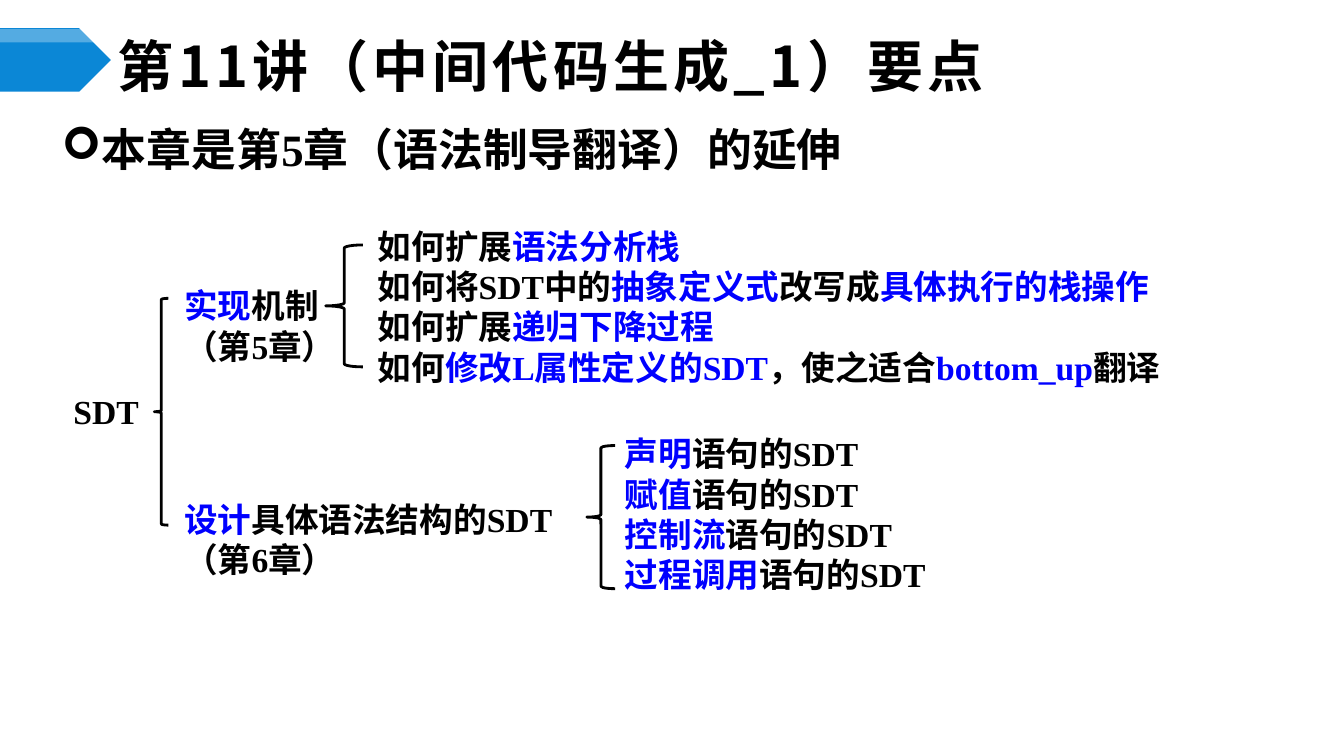
from lxml import etree
from pptx import Presentation
from pptx import util as u
from pptx.dml.color import RGBColor
from pptx.enum import shapes, text
from pptx.oxml import ns

BLACK = RGBColor(0x00, 0x00, 0x00)
WHITE = RGBColor(0xFF, 0xFF, 0xFF)
BLUE = RGBColor(0x00, 0x00, 0xFF)
ARROW_BLUE = RGBColor(0x0B, 0x87, 0xD6)
SERIF = "Times New Roman"
SANS = "Noto Sans CJK SC"


class SlideBuilder:
    def __init__(self, deck):
        self.page = deck.slides.add_slide(deck.slide_layouts[5])

    def lengths(self, values):
        return [u.Inches(value) for value in values]

    def add_span(self, para, words, color=BLACK, size=24, font=SERIF):
        span = para.add_run()
        span.text = words
        span.font.size = u.Pt(size)
        span.font.bold = True
        span.font.name = font
        span.font.color.rgb = color
        properties = span._r.get_or_add_rPr()
        etree.SubElement(properties, ns.qn("a:ea")).set("typeface", SANS)
        return span

    def set_insets(self, frame):
        frame.margin_left = frame.margin_right = u.Inches(0.07)
        frame.margin_top = frame.margin_bottom = u.Inches(0.04)

    def title(self, words, area):
        box = self.page.shapes.title
        box.left, box.top, box.width, box.height = self.lengths(area)
        frame = box.text_frame
        self.set_insets(frame)
        frame.auto_size = text.MSO_AUTO_SIZE.NONE
        frame.vertical_anchor = text.MSO_ANCHOR.MIDDLE
        para = frame.paragraphs[0]
        para.alignment = text.PP_ALIGN.LEFT
        span = self.add_span(para, words, size=40, font=SANS)
        span._r.get_or_add_rPr().set("spc", "300")

    def bullet(self, words, area):
        frame = self.page.shapes.add_textbox(*self.lengths(area)).text_frame
        self.set_insets(frame)
        frame.word_wrap = True
        para = frame.paragraphs[0]
        para.line_spacing = u.Pt(40)
        properties = para._p.get_or_add_pPr()
        properties.set("marL", str(u.Inches(0.84)))
        properties.set("indent", str(u.Inches(-0.4)))
        etree.SubElement(properties, ns.qn("a:buFont")).set("typeface", "Wingdings")
        etree.SubElement(properties, ns.qn("a:buChar")).set("char", "➢")
        self.add_span(para, words, size=32)

    def lines(self, rows, area, wrap=True):
        frame = self.page.shapes.add_textbox(*self.lengths(area)).text_frame
        frame.word_wrap = wrap
        frame.auto_size = text.MSO_AUTO_SIZE.SHAPE_TO_FIT_TEXT
        for index, row in enumerate(rows):
            para = frame.add_paragraph() if index else frame.paragraphs[0]
            for words, color in row:
                self.add_span(para, words, color)

    def brace(self, area):
        shape = self.page.shapes.add_shape(
            shapes.MSO_SHAPE.LEFT_BRACE, *self.lengths(area))
        shape.shadow.inherit = False
        shape.fill.background()
        shape.line.color.rgb = BLACK
        shape.line.width = u.Pt(2)

    def pentagon(self, area, color, opacity=100):
        shape = self.page.shapes.add_shape(
            shapes.MSO_SHAPE.PENTAGON, *self.lengths(area))
        shape.shadow.inherit = False
        shape.line.fill.background()
        shape.fill.solid()
        shape.fill.fore_color.rgb = color
        if opacity < 100:
            value = shape._element.spPr.find(".//" + ns.qn("a:srgbClr"))
            etree.SubElement(value, ns.qn("a:alpha")).set("val", str(opacity * 1000))


def main():
    deck = Presentation()
    deck.slide_width = u.Inches(13.33)
    deck.slide_height = u.Inches(7.5)
    slide = SlideBuilder(deck)

    slide.pentagon((0, 0.28, 1.1, 0.63), ARROW_BLUE)
    slide.pentagon((0, 0.29, 1.1, 0.13), WHITE, opacity=30)
    slide.title("第11讲（中间代码生成_1）要点", (1.1, 0.39, 11.56, 0.52))
    slide.bullet("本章是第5章（语法制导翻译）的延伸", (0.1, 1.15, 12.71, 4.7))

    slide.lines([[("SDT", BLACK)]], (0.63, 3.83, 0.86, 0.5), wrap=False)
    branches = [
        (2.78, "实现", "机制", "（第5章）"),
        (4.9, "设计", "具体语法结构的SDT", "（第6章）"),
    ]
    for top, key, rest, chapter in branches:
        slide.lines([[(key, BLUE), (rest, BLACK)], [(chapter, BLACK)]],
                    (1.73, top, 4.32, 0.91))

    mechanisms = [
        [("如何扩展", BLACK), ("语法分析栈", BLUE)],
        [("如何将SDT中的", BLACK), ("抽象定义式", BLUE),
         ("改写成", BLACK), ("具体执行的栈操作", BLUE)],
        [("如何扩展", BLACK), ("递归下降过程", BLUE)],
        [("如何", BLACK), ("修改L属性定义的SDT", BLUE), ("，使之适合", BLACK),
         ("bottom_up", BLUE), ("翻译", BLACK)],
    ]
    slide.lines(mechanisms, (3.65, 2.19, 8.43, 1.72))

    statements = ["声明", "赋值", "控制流", "过程调用"]
    slide.lines([[(kind, BLUE), ("语句的SDT", BLACK)] for kind in statements],
                (6.1, 4.25, 6.3, 1.72))

    for area in [(1.53, 2.96, 0.14, 2.25), (3.23, 2.43, 0.37, 1.21),
                 (5.82, 4.42, 0.28, 1.42)]:
        slide.brace(area)

    deck.save("out.pptx")


if __name__ == "__main__":
    main()
